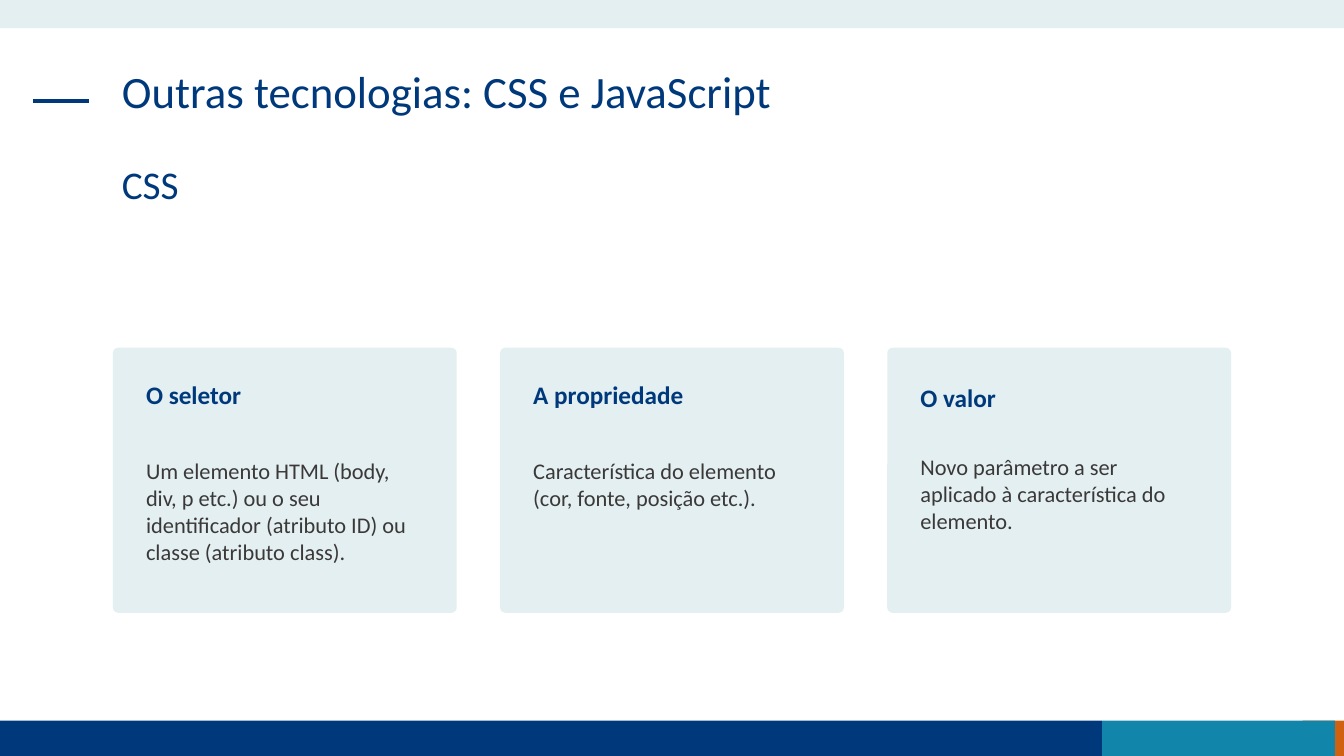
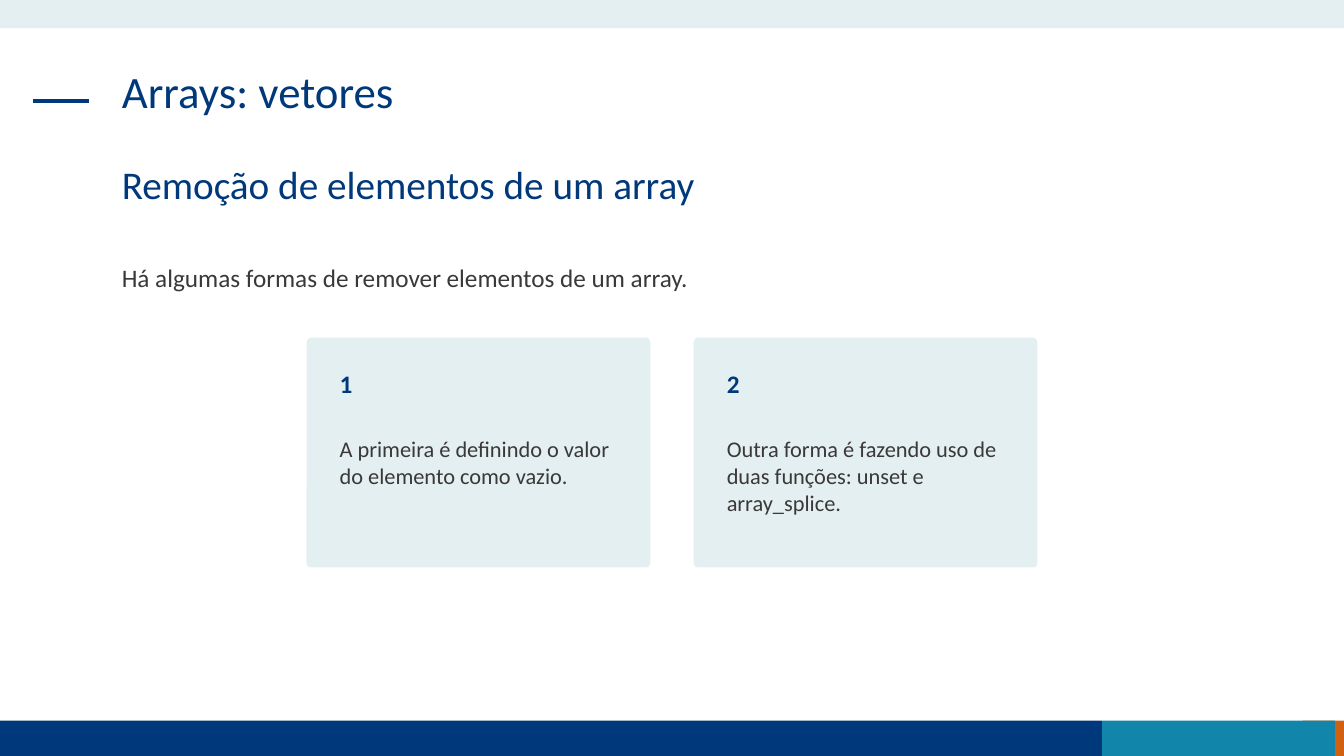
from pptx import Presentation
from pptx.dml.color import RGBColor
from pptx.enum.shapes import MSO_CONNECTOR, MSO_SHAPE
from pptx.enum.text import MSO_ANCHOR, MSO_AUTO_SIZE, PP_ALIGN
from pptx.oxml.ns import qn
from pptx.util import Inches, Pt
from lxml.etree import SubElement

NAVY = RGBColor(0x00, 0x39, 0x7B)
TEAL = RGBColor(0x11, 0x85, 0xAA)
ORANGE = RGBColor(0xD0, 0x61, 0x10)
PALE = RGBColor(0xE3, 0xEF, 0xF1)
GRAY = RGBColor(0x3B, 0x38, 0x38)

FONT = "Calibri"
PAGE_WIDTH, PAGE_HEIGHT = 13.33, 7.5
TEXT_LEFT, TEXT_WIDTH = 1.11, 11.1
FOOTER_TOP, FOOTER_HEIGHT = 7.15, 0.35
CARD_WIDTH, CARD_GAP, CARD_PADDING = 3.41, 0.43, 0.23
TITLE_ONLY = 5


class LessonDeck:
    def __init__(self):
        self.deck = Presentation()
        self.deck.slide_width = Inches(PAGE_WIDTH)
        self.deck.slide_height = Inches(PAGE_HEIGHT)
        self.page = None

    def add_page(self, title, subtitle):
        self.page = self.deck.slides.add_slide(self.deck.slide_layouts[TITLE_ONLY])
        self.add_rectangle(12.92, FOOTER_TOP, 0.41, FOOTER_HEIGHT, ORANGE)
        self.add_rectangle(0, FOOTER_TOP, 10.93, FOOTER_HEIGHT, NAVY)
        self.add_rectangle(10.93, FOOTER_TOP, 2.31, FOOTER_HEIGHT, TEAL)
        self.add_rectangle(0, 0, PAGE_WIDTH, 0.28, PALE)
        self.add_dash(0.33, 0.88, 1)
        self.add_title(title)
        self.add_text(subtitle, TEXT_LEFT, 1.59, TEXT_WIDTH, 0.94, 28, NAVY, spacing=0.9)

    def add_rectangle(self, left, top, width, height, color, kind=MSO_SHAPE.RECTANGLE):
        shape = self.page.shapes.add_shape(
            kind, Inches(left), Inches(top), Inches(width), Inches(height))
        shape.shadow.inherit = False
        shape.fill.solid()
        shape.fill.fore_color.rgb = color
        shape.line.fill.background()
        return shape

    def add_dash(self, start, end, top):
        dash = self.page.shapes.add_connector(
            MSO_CONNECTOR.STRAIGHT, Inches(start), Inches(top), Inches(end), Inches(top))
        dash.line.color.rgb = NAVY
        dash.line.width = Pt(3)
        SubElement(dash._element.spPr, qn("a:effectLst"))

    def add_title(self, text):
        title = self.page.shapes.title
        title.left, title.top = Inches(TEXT_LEFT), Inches(0.64)
        title.width, title.height = Inches(TEXT_WIDTH), Inches(0.94)
        self.set_text(title, text, 32, NAVY, spacing=0.9)

    def add_text(self, text, left, top, width, height, size, color, **style):
        box = self.page.shapes.add_textbox(
            Inches(left), Inches(top), Inches(width), Inches(height))
        self.set_text(box, text, size, color, **style)

    def set_text(self, shape, text, size, color, bold=False, spacing=1.0):
        frame = shape.text_frame
        frame.word_wrap = True
        frame.auto_size = MSO_AUTO_SIZE.NONE
        frame.vertical_anchor = MSO_ANCHOR.TOP
        frame.text = text
        para = frame.paragraphs[0]
        para.alignment = PP_ALIGN.LEFT
        para.line_spacing = spacing
        para.space_before = Pt(0)
        para.font.name = FONT
        para.font.size = Pt(size)
        para.font.bold = bold
        para.font.color.rgb = color

    def add_cards(self, top, height, cards):
        pitch = CARD_WIDTH + CARD_GAP
        first_left = (PAGE_WIDTH - len(cards) * pitch + CARD_GAP) / 2
        text_width = CARD_WIDTH - 2 * CARD_PADDING
        for index, (heading, heading_top, body, body_top) in enumerate(cards):
            left = first_left + index * pitch
            card = self.add_rectangle(
                left, top, CARD_WIDTH, height, PALE, MSO_SHAPE.ROUNDED_RECTANGLE)
            card.adjustments[0] = 0.02
            text_left = left + CARD_PADDING
            self.add_text(heading, text_left, heading_top, text_width, 0.4, 18, NAVY, bold=True)
            self.add_text(body, text_left, body_top, text_width, 1.18, 16, GRAY)


def main():
    lesson = LessonDeck()

    lesson.add_page("Outras tecnologias: CSS e JavaScript", "CSS")
    lesson.add_cards(3.45, 2.63, [
        ("O seletor", 3.71,
         "Um elemento HTML (body, div, p etc.) ou o seu identificador (atributo ID) "
         "ou classe (atributo class).", 4.49),
        ("A propriedade", 3.71,
         "Característica do elemento (cor, fonte, posição etc.).", 4.49),
        ("O valor", 3.74,
         "Novo parâmetro a ser aplicado à característica do elemento.", 4.45),
    ])

    lesson.add_page("Arrays: vetores", "Remoção de elementos de um array")
    lesson.add_text("Há algumas formas de remover elementos de um array.",
                    TEXT_LEFT, 2.55, TEXT_WIDTH, 0.4, 18, GRAY)
    lesson.add_cards(3.35, 2.28, [
        ("1", 3.61, "A primeira é definindo o valor do elemento como vazio.", 4.27),
        ("2", 3.61,
         "Outra forma é fazendo uso de duas funções: unset e array_splice.", 4.27),
    ])

    lesson.deck.save("out.pptx")


if __name__ == "__main__":
    main()
